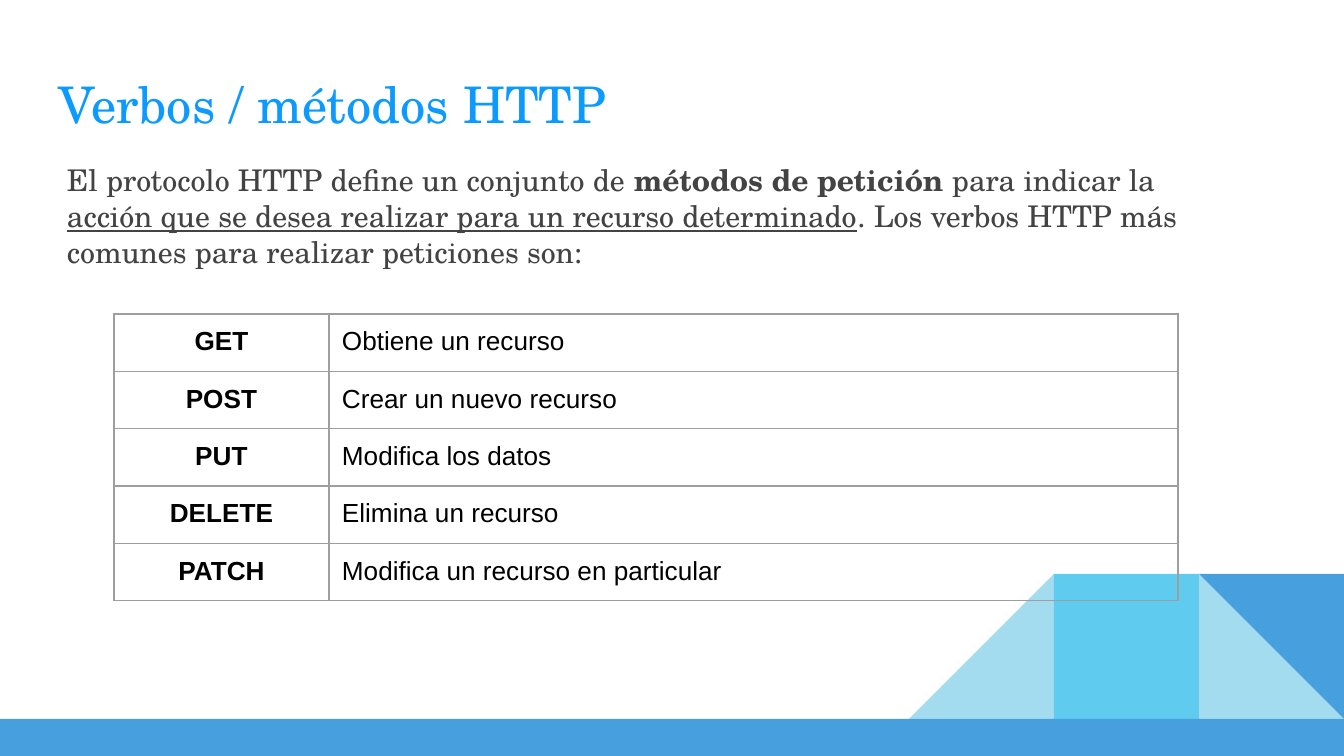
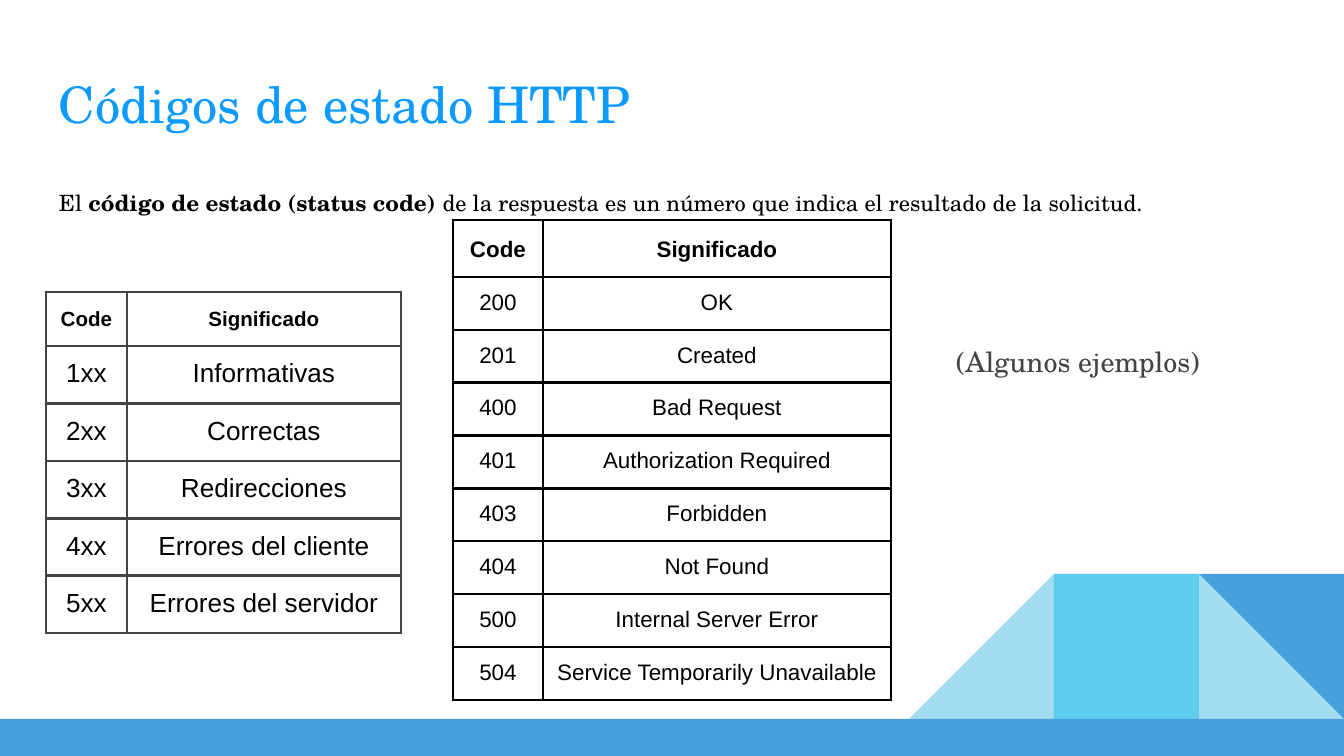
from dataclasses import dataclass
from typing import NamedTuple

from lxml.etree import SubElement
from pptx import Presentation
from pptx.dml.color import RGBColor
from pptx.enum.shapes import MSO_SHAPE
from pptx.enum.text import PP_ALIGN
from pptx.oxml.ns import qn
from pptx.slide import Slide
from pptx.text.text import _Paragraph as Paragraph
from pptx.util import Emu, Pt

SLIDE_W, SLIDE_H = 1344, 756
EMU_PER_PX = 9144000 / SLIDE_W
INSET = 13
MARGIN_X = 46

SERIF, SANS = "TeX Gyre Schola", "Arial"
TITLE_BLUE, BAND_BLUE = "0C9AFF", "479FDE"
CYAN, PALE_CYAN = "5FCBEF", "A4DCEF"
DARK_GREY, MID_GREY, BLACK = "434343", "9E9E9E", "000000"

BAND_TOP = 719
TILE = 145


class Box(NamedTuple):
    left: int
    top: int
    width: int
    height: int


class Span(NamedTuple):
    text: str
    bold: bool = False
    underline: bool = False


class TextStyle(NamedTuple):
    size: int
    color: str = BLACK
    font: str = SERIF
    bold: bool = False
    align: PP_ALIGN = PP_ALIGN.LEFT
    spacing: float = 1.0


class Ornament(NamedTuple):
    preset: MSO_SHAPE
    box: Box
    color: str
    rotation: int = 0
    mirrored: bool = False


@dataclass(frozen=True)
class Grid:
    left: int
    top: int
    columns: tuple[int, int]
    row_height: int
    rows: list[tuple[str, str]]
    styles: tuple[TextStyle, TextStyle]
    border: str
    border_pt: float
    header_style: TextStyle | None = None
    header_height: int = 0


def tile(steps_from_right: int) -> Box:
    return Box(SLIDE_W - steps_from_right * TILE, BAND_TOP - TILE, TILE, TILE)


ORNAMENTS = [
    Ornament(MSO_SHAPE.RIGHT_TRIANGLE, tile(1), PALE_CYAN),
    Ornament(MSO_SHAPE.RIGHT_TRIANGLE, tile(3), PALE_CYAN, mirrored=True),
    Ornament(MSO_SHAPE.RECTANGLE, tile(2), CYAN),
    Ornament(MSO_SHAPE.RIGHT_TRIANGLE, tile(1), BAND_BLUE, rotation=180),
    Ornament(MSO_SHAPE.RECTANGLE, Box(0, BAND_TOP, SLIDE_W, SLIDE_H - BAND_TOP), BAND_BLUE),
]

CENTERED_14 = TextStyle(14, font=SANS, align=PP_ALIGN.CENTER)
CENTERED_12 = CENTERED_14._replace(size=12)

VERBS = Grid(
    left=114, top=314, columns=(215, 849), row_height=56,
    rows=[
        ("GET", "Obtiene un recurso"),
        ("POST", "Crear un nuevo recurso"),
        ("PUT", "Modifica los datos"),
        ("DELETE", "Elimina un recurso"),
        ("PATCH", "Modifica un recurso en particular"),
    ],
    styles=(CENTERED_14._replace(bold=True), TextStyle(14, font=SANS)),
    border=MID_GREY, border_pt=0.75,
)

STATUS_FAMILIES = Grid(
    left=MARGIN_X, top=292, columns=(81, 274), row_height=56,
    rows=[
        ("Code", "Significado"),
        ("1xx", "Informativas"),
        ("2xx", "Correctas"),
        ("3xx", "Redirecciones"),
        ("4xx", "Errores del cliente"),
        ("5xx", "Errores del servidor"),
    ],
    styles=(CENTERED_14, CENTERED_14),
    border=DARK_GREY, border_pt=1.5,
    header_style=CENTERED_14._replace(size=11, bold=True, spacing=1.15),
    header_height=53,
)

STATUS_EXAMPLES = Grid(
    left=453, top=220, columns=(90, 348), row_height=52,
    rows=[
        ("Code", "Significado"),
        ("200", "OK"),
        ("201", "Created"),
        ("400", "Bad Request"),
        ("401", "Authorization Required"),
        ("403", "Forbidden"),
        ("404", "Not Found"),
        ("500", "Internal Server Error"),
        ("504", "Service Temporarily Unavailable"),
    ],
    styles=(CENTERED_12, CENTERED_12),
    border=BLACK, border_pt=1.5,
    header_style=CENTERED_12._replace(bold=True, spacing=1.15),
    header_height=56,
)


def px(length: int) -> Emu:
    return Emu(round(length * EMU_PER_PX))


def rgb(color: str) -> RGBColor:
    return RGBColor.from_string(color)


def place(box: Box) -> list[Emu]:
    return [px(length) for length in box]


def style_paragraph(paragraph: Paragraph, style: TextStyle) -> None:
    paragraph.alignment = style.align
    paragraph.line_spacing = style.spacing
    paragraph.font.size = Pt(style.size)
    paragraph.font.name = style.font
    paragraph.font.bold = style.bold
    paragraph.font.color.rgb = rgb(style.color)


def add_text(slide: Slide, box: Box, spans: list[Span], style: TextStyle) -> None:
    frame = slide.shapes.add_textbox(*place(box)).text_frame
    frame.word_wrap = True
    frame.margin_left = frame.margin_right = px(INSET)
    frame.margin_top = frame.margin_bottom = px(INSET)
    paragraph = frame.paragraphs[0]
    style_paragraph(paragraph, style)
    for span in spans:
        run = paragraph.add_run()
        run.text = span.text
        if span.bold:
            run.font.bold = True
        if span.underline:
            run.font.underline = True


def add_ornament(slide: Slide, ornament: Ornament) -> None:
    shape = slide.shapes.add_shape(ornament.preset, *place(ornament.box))
    shape.shadow.inherit = False
    shape.fill.solid()
    shape.fill.fore_color.rgb = rgb(ornament.color)
    shape.line.fill.background()
    shape.rotation = ornament.rotation
    if ornament.mirrored:
        shape.element.spPr.find(qn("a:xfrm")).set("flipH", "1")


def outline_cell(cell, color: str, width_pt: float) -> None:
    """Draw all four borders; the cell fill must be set afterwards."""
    properties = cell._tc.get_or_add_tcPr()
    for side in ("lnL", "lnR", "lnT", "lnB"):
        border = SubElement(properties, qn(f"a:{side}"), w=str(Pt(width_pt)))
        fill = SubElement(border, qn("a:solidFill"))
        SubElement(fill, qn("a:srgbClr"), val=color)


def add_grid(slide: Slide, grid: Grid) -> None:
    heights = [grid.row_height] * len(grid.rows)
    if grid.header_style:
        heights[0] = grid.header_height
    box = Box(grid.left, grid.top, sum(grid.columns), sum(heights))
    table = slide.shapes.add_table(len(grid.rows), len(grid.columns), *place(box)).table
    table.first_row = table.horz_banding = False
    for column, width in zip(table.columns, grid.columns):
        column.width = px(width)
    for index, (row, height, texts) in enumerate(zip(table.rows, heights, grid.rows)):
        row.height = px(height)
        is_header = index == 0 and grid.header_style
        for cell, text, body_style in zip(row.cells, texts, grid.styles):
            cell.text = text
            cell.margin_left = cell.margin_right = px(INSET)
            cell.margin_top = cell.margin_bottom = px(INSET)
            style_paragraph(cell.text_frame.paragraphs[0],
                            grid.header_style if is_header else body_style)
            outline_cell(cell, grid.border, grid.border_pt)
            cell.fill.background()


def add_titled_slide(presentation: Presentation, title: str) -> Slide:
    slide = presentation.slides.add_slide(presentation.slide_layouts[6])
    for ornament in ORNAMENTS:
        add_ornament(slide, ornament)
    add_text(slide, Box(MARGIN_X, 60, 1252, 89), [Span(title)], TextStyle(27, TITLE_BLUE))
    return slide


def build_verbs(presentation: Presentation) -> None:
    slide = add_titled_slide(presentation, "Verbos / métodos HTTP")
    add_grid(slide, VERBS)
    add_text(slide, Box(54, 149, 1184, 136), [
        Span("El protocolo HTTP define un conjunto de "),
        Span("métodos de petición", bold=True),
        Span(" para indicar la "),
        Span("acción que se desea realizar para un recurso determinado", underline=True),
        Span(". Los verbos HTTP más comunes para realizar peticiones son:"),
    ], TextStyle(16, DARK_GREY))


def build_status_codes(presentation: Presentation) -> None:
    slide = add_titled_slide(presentation, "Códigos de estado HTTP")
    add_text(slide, Box(MARGIN_X, 149, 1252, 164), [
        Span("El "),
        Span("código de estado (status code) ", bold=True),
        Span("de la respuesta es un número que indica el resultado de la solicitud."),
    ], TextStyle(12, spacing=2.0))
    add_grid(slide, STATUS_FAMILIES)
    add_grid(slide, STATUS_EXAMPLES)
    add_text(slide, Box(943, 332, 380, 60), [Span("(Algunos ejemplos)")],
             TextStyle(15, DARK_GREY))


def main() -> None:
    presentation = Presentation()
    presentation.slide_width, presentation.slide_height = px(SLIDE_W), px(SLIDE_H)
    build_verbs(presentation)
    build_status_codes(presentation)
    presentation.save("out.pptx")


if __name__ == "__main__":
    main()
